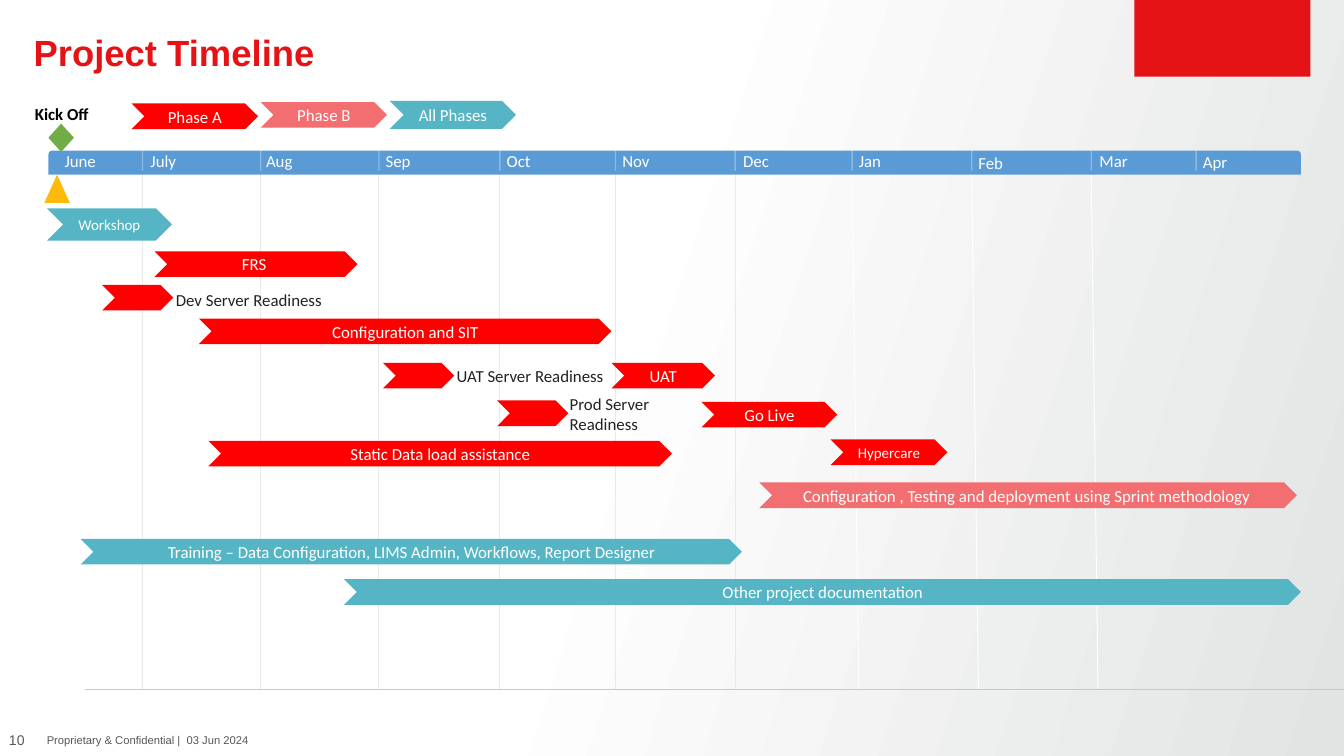
import pptx
import pptx.util
import pptx.dml.color
import pptx.enum.shapes
import pptx.enum.text
import pptx.oxml.ns
from lxml import etree

Inches = pptx.util.Inches
Pt = pptx.util.Pt
SHAPES = pptx.enum.shapes.MSO_SHAPE
ALIGN = pptx.enum.text.PP_ALIGN
ANCHOR = pptx.enum.text.MSO_ANCHOR
AUTO_SIZE = pptx.enum.text.MSO_AUTO_SIZE

COLORS = {
    "brand": "E61316", "phase_a": "FF0000", "phase_b": "F36E70", "all": "55B5C4",
    "bar": "5B9BD5", "kick_off": "70AD47", "marker": "FEBA0A",
    "white": "FFFFFF", "background_end": "E2E3E3", "grid": "E9E9E9", "rule": "C8C8C8",
    "black": "000000", "label": "222222", "footer": "545859",
}

# name, label left, label width, label height, left boundary, gridline top
MONTHS = [
    ("June", 0.48, 0.22, 0.15, None, None),
    ("July", 1.12, 0.17, 0.15, 1.06, 1.27),
    ("Aug", 1.98, 0.3, 0.15, 1.94, 1.3),
    ("Sep", 2.87, 0.4, 0.15, 2.82, 1.28),
    ("Oct", 3.77, 0.68, 0.15, 3.72, 1.28),
    ("Nov", 4.63, 0.58, 0.15, 4.58, 1.27),
    ("Dec", 5.53, 0.66, 0.16, 5.47, 1.27),
    ("Jan", 6.39, 0.19, 0.15, 6.34, 1.29),
    ("Feb", 7.28, 0.26, 0.18, 7.23, 1.3),
    ("Mar", 8.18, 0.18, 0.15, 8.12, 1.3),
    ("Apr", 8.95, 0.18, 0.17, 8.9, None),
]
SLANTED = ("Jan", "Feb", "Mar")

# text, color, left, top, width, height, font size
ACTIVITIES = [
    ("Phase A", "phase_a", 0.98, 0.77, 0.94, 0.19, 9),
    ("Phase B", "phase_b", 1.94, 0.76, 0.94, 0.19, 9),
    ("All Phases", "all", 2.9, 0.75, 0.94, 0.21, 9),
    ("Workshop", "all", 0.35, 1.55, 0.93, 0.24, 8),
    ("FRS ", "phase_a", 1.15, 1.87, 1.51, 0.19, 9),
    ("", "phase_a", 0.76, 2.12, 0.53, 0.19, 9),
    ("Configuration and SIT", "phase_a", 1.48, 2.37, 3.07, 0.19, 9),
    ("", "phase_a", 2.85, 2.7, 0.53, 0.19, 9),
    ("UAT", "phase_a", 4.55, 2.7, 0.77, 0.19, 9),
    ("", "phase_a", 3.7, 2.98, 0.53, 0.19, 9),
    ("Go Live", "phase_a", 5.22, 2.99, 1.01, 0.19, 9),
    ("Static Data load assistance", "phase_a", 1.55, 3.28, 3.45, 0.19, 9),
    ("Hypercare", "phase_a", 6.18, 3.27, 0.87, 0.19, 8),
    ("Configuration , Testing and deployment using Sprint methodology ", "phase_b",
     5.65, 3.59, 4, 0.19, 9),
    ("Training – Data Configuration, LIMS Admin, Workflows, Report Designer", "all",
     0.6, 4.01, 4.92, 0.19, 9),
    ("Other project documentation", "all", 2.56, 4.31, 7.12, 0.19, 9),
]

READINESS_LABELS = [
    ("Dev Server Readiness", 1.21, 2.11, 1.45, 0.25),
    ("UAT Server Readiness", 3.3, 2.67, 1.33, 0.25),
    ("Prod Server\nReadiness", 4.14, 2.88, 1.35, 0.4),
]


def rgb(color):
    return pptx.dml.color.RGBColor.from_string(COLORS[color])


class TimelineSlide:
    def __init__(self, presentation):
        self.slide = presentation.slides.add_slide(presentation.slide_layouts[5])

    def background(self):
        fill = self.slide.background.fill
        fill.gradient()
        fill.gradient_angle = 342
        stops = zip(fill.gradient_stops, (0.45, 1), ("white", "background_end"))
        for stop, position, color in stops:
            stop.position = position
            stop.color.rgb = rgb(color)

    def format_text(self, text_frame, text, size, color, font="Calibri", bold=False,
                    align=ALIGN.LEFT, anchor=ANCHOR.MIDDLE, inset=True, wrap=True):
        text_frame.text = text
        text_frame.word_wrap = wrap
        text_frame.auto_size = AUTO_SIZE.NONE
        text_frame.vertical_anchor = anchor
        if not inset:
            text_frame.margin_left = text_frame.margin_right = 0
            text_frame.margin_top = text_frame.margin_bottom = 0
        for paragraph in text_frame.paragraphs:
            paragraph.alignment = align
            for run in paragraph.runs:
                run.font.name = font
                run.font.size = Pt(size)
                run.font.bold = bold
                run.font.color.rgb = rgb(color)

    def title(self, text, left, top, width, height):
        title = self.slide.shapes.title
        title.left, title.top = Inches(left), Inches(top)
        title.width, title.height = Inches(width), Inches(height)
        self.format_text(title.text_frame, text, 19.5, "brand", "Arial", bold=True, inset=False)
        title.text_frame.paragraphs[0].line_spacing = 0.9

    def text(self, text, left, top, width, height, size, color, **style):
        box = self.slide.shapes.add_textbox(
            Inches(left), Inches(top), Inches(width), Inches(height))
        self.format_text(box.text_frame, text, size, color, **style)
        return box

    def footer(self, text, left, width, size, **style):
        box = self.text(text, left, 5.38, width, 0.25, size, "footer", font="Arial", **style)
        box.text_frame.paragraphs[0].space_after = Pt(4.5)

    def shape(self, kind, color, left, top, width, height):
        shape = self.slide.shapes.add_shape(
            kind, Inches(left), Inches(top), Inches(width), Inches(height))
        shape.shadow.inherit = False
        shape.fill.solid()
        shape.fill.fore_color.rgb = rgb(color)
        shape.line.fill.background()
        return shape

    def activity(self, text, color, left, top, width, height, size):
        chevron = self.shape(SHAPES.CHEVRON, color, left, top, width, height)
        if text:
            self.format_text(chevron.text_frame, text, size, "white",
                             align=ALIGN.CENTER, inset=False)

    def line(self, start, end, color, weight, opacity=None):
        connector = self.slide.shapes.add_connector(
            pptx.enum.shapes.MSO_CONNECTOR.STRAIGHT, *map(Inches, start + end))
        connector.line.color.rgb = rgb(color)
        connector.line.width = Pt(weight)
        qn = pptx.oxml.ns.qn
        if opacity is not None:
            color_element = next(connector.element.iter(qn("a:srgbClr")))
            etree.SubElement(color_element, qn("a:alpha")).set("val", str(opacity * 1000))
        etree.SubElement(connector.element.spPr, qn("a:effectLst"))


def main():
    presentation = pptx.Presentation()
    presentation.slide_width = Inches(10)
    presentation.slide_height = presentation.slide_width * 9 // 16
    timeline = TimelineSlide(presentation)

    timeline.background()
    timeline.shape(SHAPES.RECTANGLE, "brand", 8.44, 0, 1.31, 0.57)
    timeline.title("Project Timeline", 0.25, 0.25, 8, 0.31)
    timeline.footer("10", 0, 0.25, 7.5, align=ALIGN.CENTER, inset=False)
    timeline.footer("Proprietary & Confidential |  03 Jun 2024", 0.25, 3, 6)

    for name, _, _, _, boundary, grid_top in MONTHS:
        if grid_top:
            slanted = name in SLANTED
            timeline.line((boundary, grid_top), (boundary + 0.05 * slanted, 5.13),
                          "white" if slanted else "grid", 0.5)
    timeline.line((0.63, 5.13), (10, 5.13), "rule", 0.5)

    timeline.shape(SHAPES.ROUND_2_SAME_RECTANGLE, "bar", 0.36, 1.12, 9.32, 0.18)
    for name, left, width, height, boundary, _ in MONTHS:
        timeline.text(name, left, 1.12, width, height, 9, "white", inset=False, wrap=False)
        if boundary:
            timeline.line((boundary, 1.12), (boundary, 1.27), "white", 0.75, opacity=30)

    timeline.shape(SHAPES.DIAMOND, "kick_off", 0.36, 0.92, 0.19, 0.21)
    timeline.shape(SHAPES.ISOSCELES_TRIANGLE, "marker", 0.33, 1.3, 0.19, 0.21)
    timeline.text("Kick Off", 0.18, 0.77, 0.56, 0.15, 9, "black",
                  bold=True, align=ALIGN.CENTER, inset=False)

    for activity in ACTIVITIES:
        timeline.activity(*activity)
    for label in READINESS_LABELS:
        timeline.text(*label, 9, "label", anchor=ANCHOR.TOP)

    presentation.save("out.pptx")


if __name__ == "__main__":
    main()
